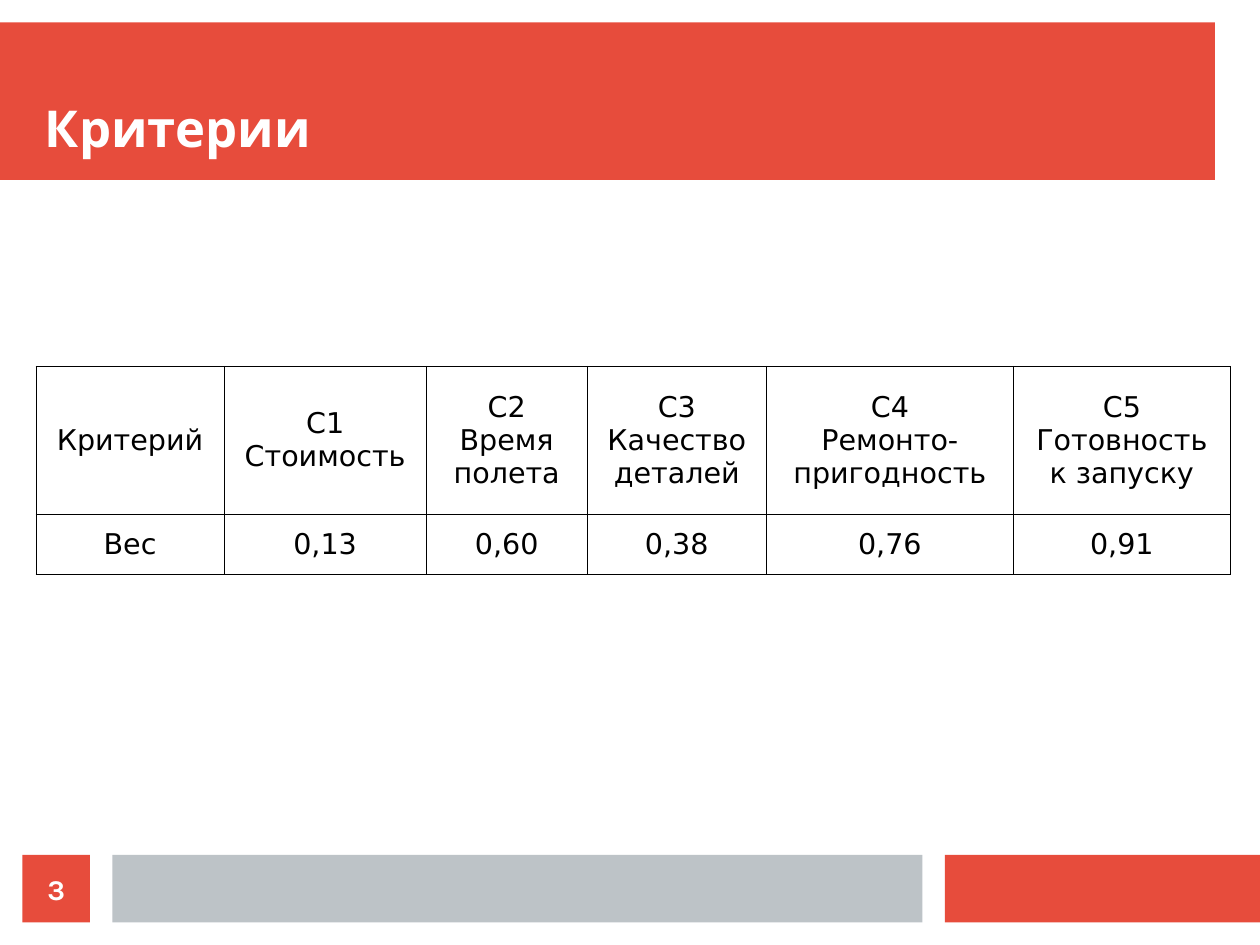
from lxml.etree import SubElement
from pptx import Presentation
from pptx.dml.color import RGBColor
from pptx.enum.shapes import MSO_SHAPE
from pptx.enum.text import MSO_ANCHOR, PP_ALIGN
from pptx.oxml.ns import qn
from pptx.util import Cm, Pt

RED = RGBColor(0xE7, 0x4C, 0x3C)
GRAY = RGBColor(0xBD, 0xC3, 0xC7)
WHITE = RGBColor(0xFF, 0xFF, 0xFF)
BLACK = RGBColor(0x00, 0x00, 0x00)


def write_text(text_frame, lines, size, font_name, color, bold, alignment):
    for index, line in enumerate(lines):
        paragraph = text_frame.paragraphs[0] if index == 0 else text_frame.add_paragraph()
        paragraph.alignment = alignment
        run = paragraph.add_run()
        run.text = line
        run.font.size = Pt(size)
        run.font.name = font_name
        run.font.bold = bold
        run.font.color.rgb = color


def add_borders(cell, color, width):
    properties = cell._tc.get_or_add_tcPr()
    for position, side in enumerate(("a:lnL", "a:lnR", "a:lnT", "a:lnB")):
        line = SubElement(properties, qn(side), w=str(width))
        fill = SubElement(line, qn("a:solidFill"))
        SubElement(fill, qn("a:srgbClr"), val=str(color))
        properties.insert(position, line)


presentation = Presentation()
presentation.slide_width = Cm(28)
presentation.slide_height = Cm(21)
slide = presentation.slides.add_slide(presentation.slide_layouts[6])

bars = (
    (0, 0.5, 27, 3.5, RED),
    (21, 19, 7, 1.5, RED),
    (2.5, 19, 18, 1.5, GRAY),
    (0.5, 19, 1.5, 1.5, RED),
)
for left, top, width, height, color in bars:
    shape = slide.shapes.add_shape(
        MSO_SHAPE.RECTANGLE, Cm(left), Cm(top), Cm(width), Cm(height))
    shape.shadow.inherit = False
    shape.fill.solid()
    shape.fill.fore_color.rgb = color
    shape.line.fill.background()
number = shape
title = slide.shapes.add_textbox(Cm(1), Cm(1), Cm(26), Cm(2.5))

labels = (
    (title, "Критерии", 32, MSO_ANCHOR.BOTTOM, PP_ALIGN.LEFT),
    (number, "3", 18, MSO_ANCHOR.MIDDLE, PP_ALIGN.CENTER),
)
for shape, text, size, anchor, alignment in labels:
    text_frame = shape.text_frame
    text_frame.word_wrap = True
    text_frame.vertical_anchor = anchor
    text_frame.margin_left = text_frame.margin_right = Cm(0)
    text_frame.margin_top = text_frame.margin_bottom = Cm(0)
    write_text(text_frame, [text], size, "Karla", WHITE, True, alignment)

criteria = (
    (4.18, ["Критерий"], "Вес"),
    (4.49, ["C1 Стоимость"], "0,13"),
    (3.58, ["C2", "Время полета"], "0,60"),
    (3.98, ["C3", "Качество деталей"], "0,38"),
    (5.49, ["C4", "Ремонто-пригодность"], "0,76"),
    (4.82, ["C5", "Готовность к запуску"], "0,91"),
)
row_heights = (3.29, 1.33)
table_width = sum(width for width, _, _ in criteria)
table = slide.shapes.add_table(
    len(row_heights), len(criteria),
    Cm(0.8), Cm(8.14), Cm(table_width), Cm(sum(row_heights))).table
table.first_row = False
table.horz_banding = False
for row, height in zip(table.rows, row_heights):
    row.height = Cm(height)

for column, (width, heading, weight) in enumerate(criteria):
    table.columns[column].width = Cm(width)
    for row, lines in enumerate((heading, [weight])):
        cell = table.cell(row, column)
        cell.fill.background()
        cell.vertical_anchor = MSO_ANCHOR.MIDDLE
        cell.margin_left = cell.margin_right = Cm(0.25)
        cell.margin_top = cell.margin_bottom = Cm(0.13)
        write_text(cell.text_frame, lines, 18, "DejaVu Sans", BLACK, False, PP_ALIGN.CENTER)
        add_borders(cell, BLACK, Pt(0.57))

presentation.save("out.pptx")
